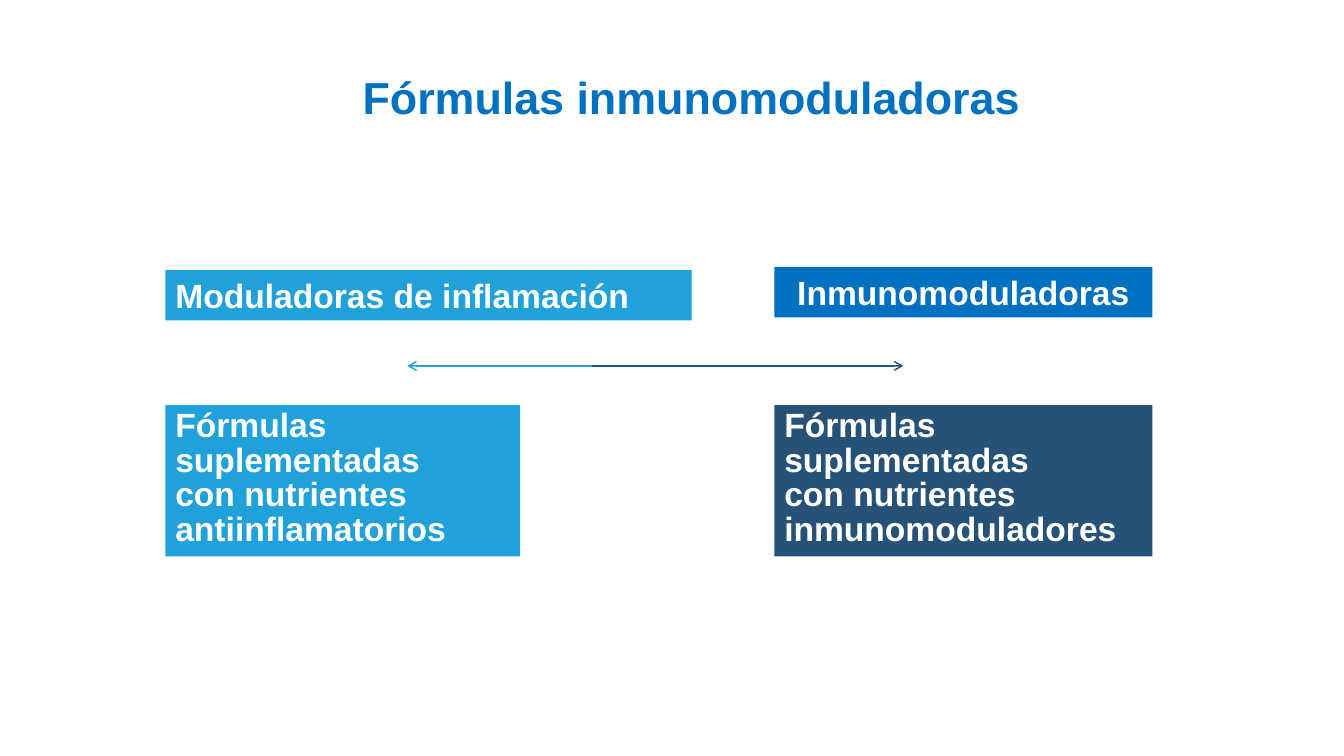
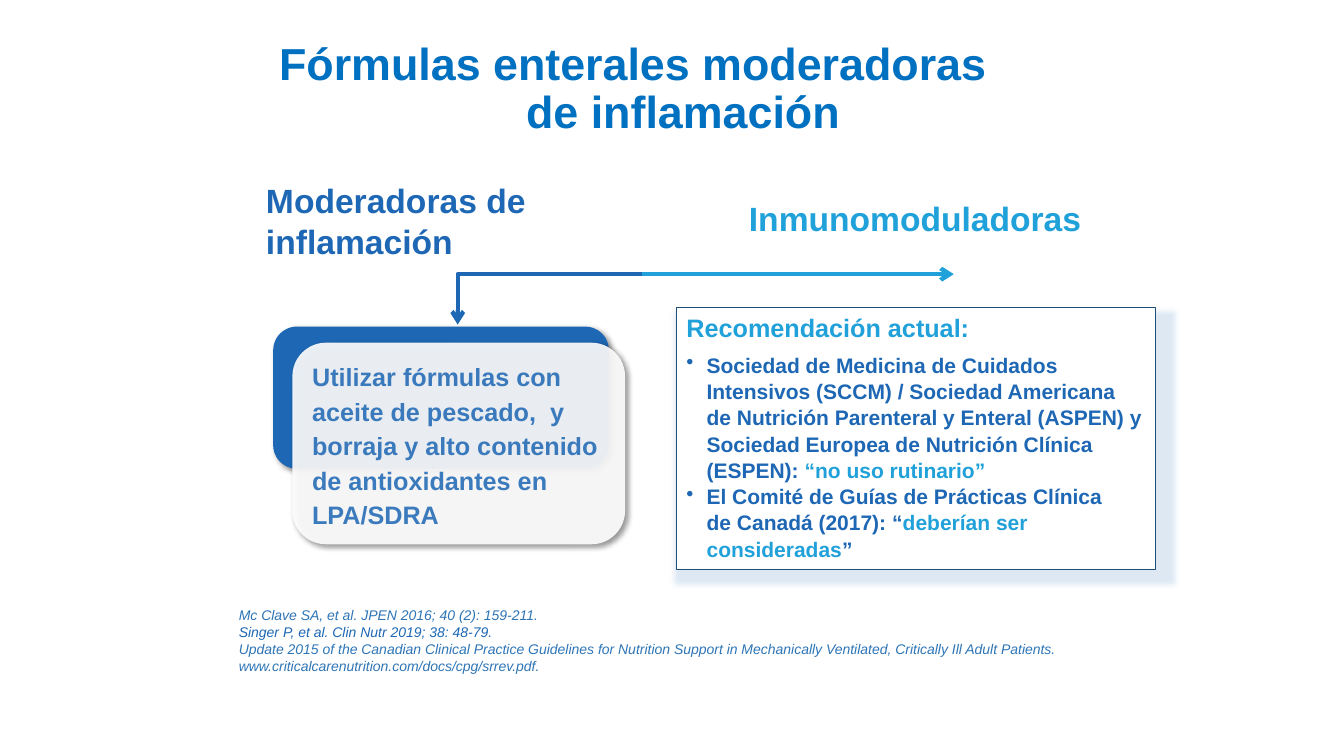
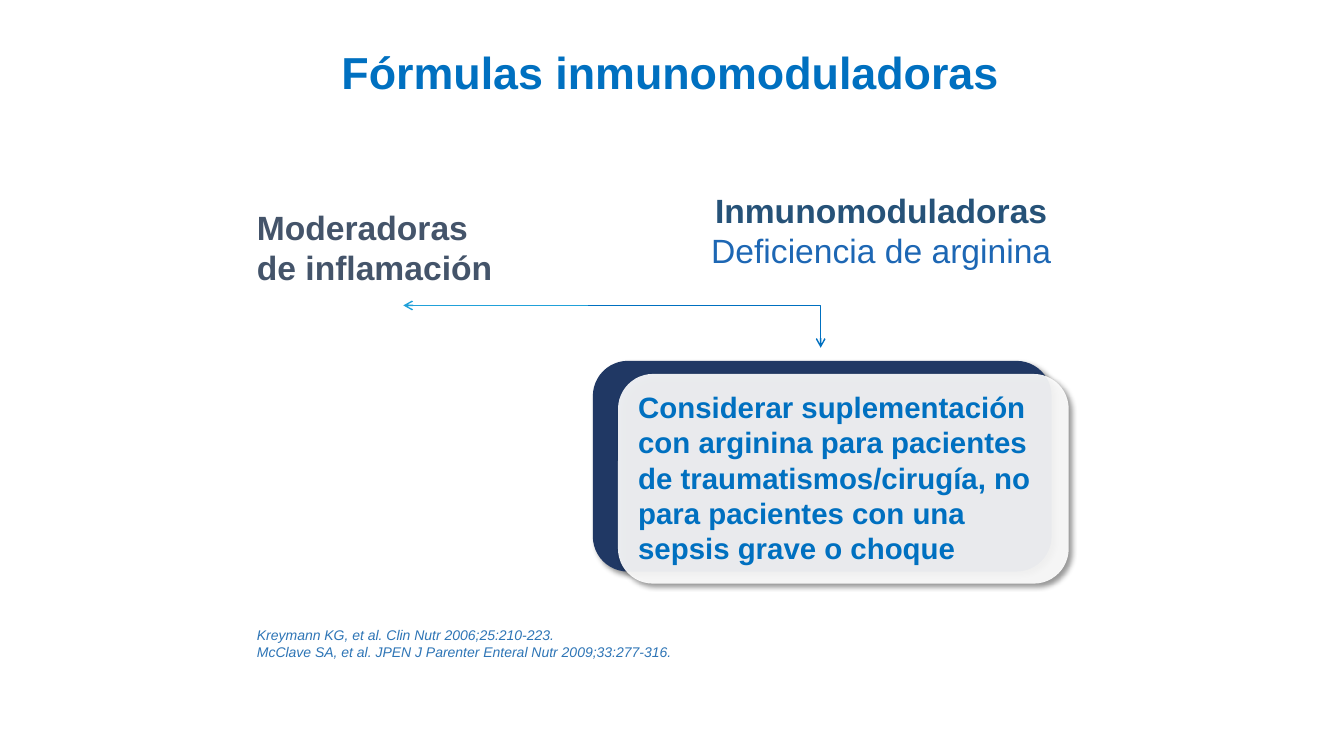
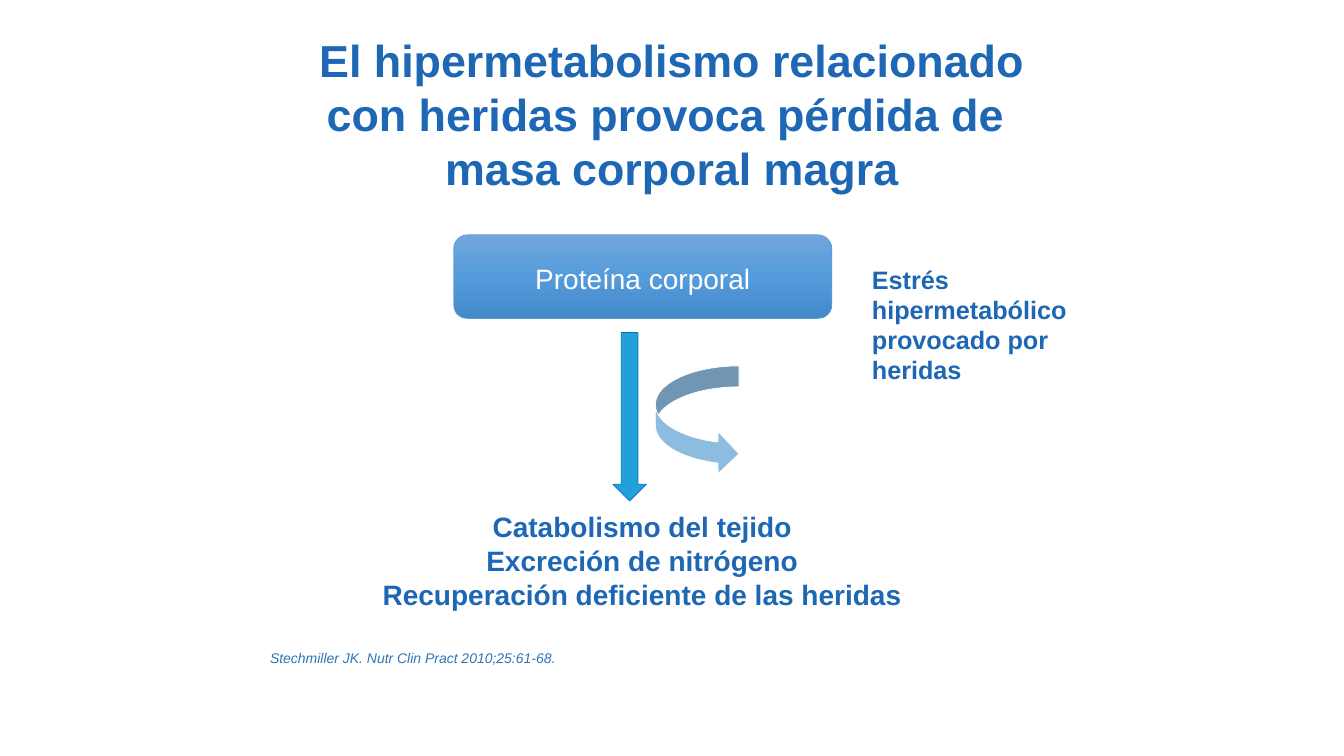
from copy import deepcopy

from lxml import etree
from pptx import Presentation
from pptx import util as u
from pptx.dml.color import RGBColor
from pptx.enum import shapes, text
from pptx.oxml.ns import qn

PX = 9144
WHITE = RGBColor(0xFF, 0xFF, 0xFF)
BLUE = RGBColor(0x00, 0x70, 0xC0)
ROYAL = RGBColor(0x1D, 0x67, 0xB4)
SKY = RGBColor(0x21, 0xA1, 0xD9)
STEEL = RGBColor(0x26, 0x52, 0x78)
NAVY = RGBColor(0x20, 0x38, 0x64)
SLATE = RGBColor(0x44, 0x54, 0x6A)
INK = RGBColor(0x1F, 0x4E, 0x79)
SOURCE = RGBColor(0x2E, 0x75, 0xB6)
PALE = RGBColor(0x8C, 0xBC, 0xE0)
EDGE = RGBColor(0x5B, 0x9B, 0xD5)
GRADIENT = [
    (0, RGBColor(0x71, 0xA6, 0xDB)),
    (0.5, RGBColor(0x55, 0x9B, 0xDB)),
    (1, RGBColor(0x44, 0x8A, 0xCA)),
]

KIND = shapes.MSO_SHAPE
LEFT, CENTER = text.PP_ALIGN.LEFT, text.PP_ALIGN.CENTER
MIDDLE = text.MSO_ANCHOR.MIDDLE

TITLE = {"size": u.Pt(32), "bold": True, "color": BLUE}
HEADING = {"size": u.Pt(24), "bold": True, "color": WHITE}
BODY = {"size": u.Pt(18), "bold": True, "color": ROYAL}
RESULT = {"size": u.Pt(20), "bold": True, "color": ROYAL}
CITATION = {"size": u.Pt(10), "italic": True, "color": SOURCE}
TITLE_LAYOUT = {"alignment": CENTER, "line_spacing": 0.9}
CENTERED = {"alignment": CENTER}
SPACED = {"line_spacing": u.Pt(24.6)}

CARD_SHADOW = (
    "000000", 43,
    {"blurRad": u.Pt(4), "dist": u.Pt(3), "dir": 45 * 60000, "algn": "tl"},
)
WIDE_SHADOW = (
    "1D67B4", 14,
    {"blurRad": u.Pt(4), "dist": u.Pt(3), "dir": 113 * 60000,
     "sx": 104000, "sy": 104000, "algn": "tl"},
)


def add_box(page, kind, place, lines=(), font=None, layout=None,
            fill=None, line=None, shadow=None, anchor=text.MSO_ANCHOR.TOP):
    place = [value * PX for value in place]
    if kind is None:
        box = page.shapes.add_textbox(*place)
    else:
        box = page.shapes.add_shape(kind, *place)
        box.shadow.inherit = False
        if fill is not None:
            box.fill.solid()
            box.fill.fore_color.rgb = fill
        if line:
            box.line.color.rgb, box.line.width = line
        else:
            box.line.fill.background()
    if shadow:
        color, opacity, values = shadow
        effects = box._element.spPr.find(qn("a:effectLst"))
        outer = etree.SubElement(effects, qn("a:outerShdw"))
        for name, value in values.items():
            outer.set(name, str(value))
        tint = etree.SubElement(outer, qn("a:srgbClr"), val=color)
        etree.SubElement(tint, qn("a:alpha"), val=str(opacity * 1000))
    frame = box.text_frame
    frame.word_wrap = True
    frame.vertical_anchor = anchor
    for index, spans in enumerate(lines):
        para = frame.add_paragraph() if index else frame.paragraphs[0]
        for name, value in {"alignment": LEFT, **(layout or {})}.items():
            setattr(para, name, value)
        if isinstance(spans, str):
            spans = [(spans, {})]
        for words, changes in spans:
            for number, piece in enumerate(words.split("\n")):
                if number:
                    para.add_line_break()
                span = para.add_run()
                span.text = piece
                values = {"name": "Arial", **font, **changes}
                span.font.color.rgb = values.pop("color")
                for name, value in values.items():
                    setattr(span.font, name, value)
    return box


def add_arrow(page, start, end, color, width, bent=False):
    kind = shapes.MSO_CONNECTOR.ELBOW if bent else shapes.MSO_CONNECTOR.STRAIGHT
    arrow = page.shapes.add_connector(kind, *[v * PX for v in (*start, *end)])
    arrow.line.color.rgb = color
    arrow.line.width = u.Pt(width)
    properties = arrow._element.spPr
    if bent:
        properties.find(qn("a:prstGeom")).set("prst", "bentConnector2")
    etree.SubElement(properties.find(qn("a:ln")), qn("a:tailEnd"), type="arrow")
    etree.SubElement(properties, qn("a:effectLst"))


deck = Presentation()
deck.slide_width, deck.slide_height = 1333 * PX, 750 * PX
pages = [deck.slides.add_slide(deck.slide_layouts[6]) for _ in range(4)]
groups, moderators, immune, wounds = pages

for page, place in ((groups, (111, 27, 1150, 145)), (immune, (90, 2, 1150, 145))):
    add_box(page, None, place, ["Fórmulas inmunomoduladoras"], TITLE,
            TITLE_LAYOUT, anchor=MIDDLE)

for place, label, layout, fill in (
    ((164, 268, 522, 50), "Moduladoras de inflamación", {}, SKY),
    ((768, 265, 375, 50), "Inmunomoduladoras", CENTERED, BLUE),
):
    add_box(groups, KIND.RECTANGLE, place, [label], HEADING, layout, fill)
for end, color in ((404, SKY), (896, STEEL)):
    add_arrow(groups, (587, 363), (end, 363), color, 1)
for left, width, nutrients, fill in (
    (164, 352, "antiinflamatorios", SKY),
    (768, 375, "inmunomoduladores", STEEL),
):
    add_box(groups, KIND.RECTANGLE, (left, 402, width, 150),
            ["Fórmulas suplementadas", f"con nutrientes {nutrients}"],
            HEADING, SPACED, fill)

for page, back, front, color, advice, font, layout in (
    (moderators, (271, 324, 333, 141), (290, 340, 330, 200), ROYAL,
     "Utilizar fórmulas con aceite de pescado,  y borraja y alto contenido "
     "de antioxidantes en\nLPA/SDRA", BODY, SPACED),
    (immune, (588, 358, 455, 209), (613, 371, 447, 208), NAVY,
     "Considerar suplementación con arginina para pacientes de "
     "traumatismos/cirugía, no para pacientes con una sepsis grave o choque",
     {**BODY, "size": u.Pt(21), "color": BLUE}, {}),
):
    add_box(page, KIND.ROUNDED_RECTANGLE, back, fill=color, shadow=CARD_SHADOW)
    panel = add_box(page, KIND.ROUNDED_RECTANGLE, front, [advice], font, layout,
                    WHITE, shadow=CARD_SHADOW)
    tint = panel._element.spPr.find(qn("a:solidFill"))[0]
    etree.SubElement(tint, qn("a:alpha"), val="91000")
    if page is moderators:
        for tint in panel._element.txBody.iter(qn("a:srgbClr")):
            etree.SubElement(tint, qn("a:alpha"), val="85000")

add_arrow(moderators, (637, 272), (454, 322), ROYAL, 3, bent=True)
title = add_box(moderators, None, (249, 22, 862, 134),
                ["Fórmulas enterales moderadoras", "de inflamación"],
                TITLE, {"line_spacing": 0.9}, anchor=MIDDLE)
for para, indent in zip(title.text_frame.paragraphs, (18, 263)):
    para._p.get_or_add_pPr().set("marL", str(indent * PX))

advice = add_box(
    moderators, KIND.RECTANGLE, (671, 305, 475, 260),
    [
        [("Recomendación actual:", {"size": u.Pt(18), "color": SKY})],
        [("Sociedad de Medicina de Cuidados Intensivos (SCCM) / Sociedad "
          "Americana de Nutrición Parenteral y Enteral (ASPEN) y Sociedad "
          "Europea de Nutrición Clínica (ESPEN): ", {}),
         ("“no uso rutinario”", {"color": SKY})],
        [("El Comité de Guías de Prácticas Clínica\nde Canadá (2017): “", {}),
         ("deberían ser consideradas", {"color": SKY}), ("”", {})],
    ],
    {**BODY, "size": u.Pt(15)}, fill=WHITE, line=(INK, u.Pt(0.75)),
    shadow=WIDE_SHADOW)
heading, *bullets = advice.text_frame.paragraphs
heading.space_after = u.Pt(6)
for para in bullets:
    properties = para._p.get_or_add_pPr()
    properties.set("marL", str(20 * PX))
    properties.set("indent", str(-20 * PX))
    etree.SubElement(properties, qn("a:buChar"), char="•")
    para.line_spacing = u.Pt(18.8)

for page, place, lines in (
    (moderators, (227, 597, 885, 94), [
        "Mc Clave SA, et al. JPEN 2016; 40 (2): 159-211.",
        [("Singer P, et al. Clin Nutr 2019; 38: 48-79.", {"color": ROYAL})],
        "Update 2015 of the Canadian Clinical Practice Guidelines for Nutrition "
        "Support in Mechanically Ventilated, Critically Ill Adult Patients. "
        "www.criticalcarenutrition.com/docs/cpg/srrev.pdf.",
    ]),
    (immune, (245, 617, 629, 61), [
        "Kreymann KG, et al. Clin Nutr 2006;25:210-223.",
        "McClave SA, et al. JPEN J Parenter Enteral Nutr 2009;33:277-316.",
    ]),
    (wounds, (258, 639, 433, 27), [
        "Stechmiller JK. Nutr Clin Pract 2010;25:61-68.",
    ]),
):
    add_box(page, None, place, lines, CITATION)

for page, place, lines, color, layout in (
    (moderators, (254, 174, 300, 91), ["Moderadoras de inflamación"], ROYAL, {}),
    (moderators, (733, 191, 426, 50), ["Inmunomoduladoras"], SKY, {}),
    (immune, (665, 183, 418, 91),
     ["Inmunomoduladoras",
      [("Deficiencia de arginina", {"color": ROYAL, "bold": False})]],
     STEEL, CENTERED),
    (immune, (245, 200, 301, 91), ["Moderadoras\nde inflamación"], SLATE, {}),
):
    add_box(page, None, place, lines, {**HEADING, "color": color}, layout)
add_arrow(moderators, (637, 272), (946, 272), SKY, 3)
add_arrow(immune, (581, 303), (814, 345), BLUE, 1, bent=True)
add_arrow(immune, (583, 303), (400, 303), SKY, 1)

add_box(wounds, None, (229, 28, 875, 172),
        ["El hipermetabolismo relacionado\ncon heridas provoca pérdida de ",
         "masa corporal magra"], {**TITLE, "color": ROYAL}, CENTERED)
protein = add_box(wounds, KIND.FLOWCHART_ALTERNATE_PROCESS, (450, 233, 375, 83),
                  line=(EDGE, u.Pt(0.5)))
protein.fill.gradient()
protein.fill.gradient_angle = 270
stop_list = protein._element.spPr.find(".//" + qn("a:gsLst"))
stop_list.append(deepcopy(stop_list[0]))
for stop, (position, color) in zip(protein.fill.gradient_stops, GRADIENT):
    stop.position = position
    stop.color.rgb = color
add_box(wounds, None, (450, 255, 375, 77), ["Proteína corporal"],
        {**RESULT, "bold": False, "color": WHITE}, CENTERED)
add_box(wounds, None, (333, 501, 608, 111),
        ["Catabolismo del tejido", "Excreción de nitrógeno",
         "Recuperación deficiente de las heridas"], RESULT, CENTERED)
add_box(wounds, KIND.DOWN_ARROW, (608, 330, 33, 167), fill=SKY,
        line=(BLUE, u.Pt(0.5)))
add_box(wounds, None, (855, 257, 256, 131),
        ["Estrés hipermetabólico", "provocado por heridas"], BODY)
add_box(wounds, KIND.CURVED_RIGHT_ARROW, (650, 363, 83, 108), fill=PALE,
        line=(WHITE, u.Pt(0.5)))

deck.save("out.pptx")
